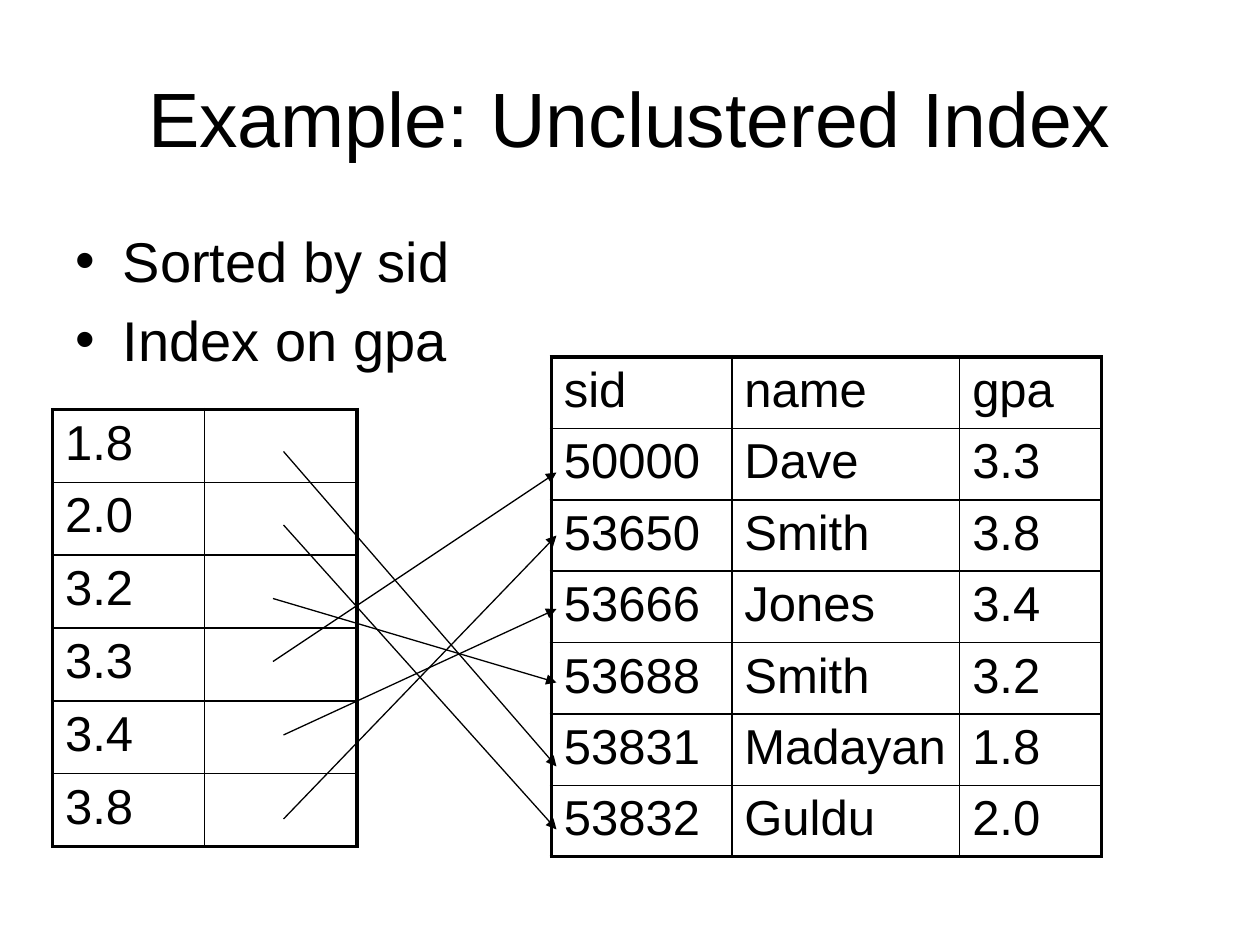
import pptx
import pptx.dml.color
import pptx.enum.shapes
import pptx.enum.text
import pptx.oxml
import pptx.oxml.ns
import pptx.util

BLACK = pptx.dml.color.RGBColor(0, 0, 0)
FONT = "Arial"
COLUMNS, ROWS = 120, 90  # grid cells of a twelfth of an inch
THICK, THIN = 2.25, 1

RECORDS = [
    ("sid", "name", "gpa"),
    ("50000", "Dave", "3.3"),
    ("53650", "Smith", "3.8"),
    ("53666", "Jones", "3.4"),
    ("53688", "Smith", "3.2"),
    ("53831", "Madayan", "1.8"),
    ("53832", "Guldu", "2.0"),
]
INDEX = [(gpa, "") for gpa in sorted(record[2] for record in RECORDS[1:])]

# Start of each index pointer, and height at which each record is reached
POINTER_STARTS = [(27, 43), (27, 50), (26, 57), (26, 63), (27, 70), (27, 78)]
RECORD_HEIGHTS = [45, 51, 58, 65, 73, 79]
RECORD_EDGE = 53


def grid(*cells):
    return [pptx.util.Inches(cell / 12) for cell in cells]


def format_run(run, size):
    values = {"name": FONT, "size": pptx.util.Pt(size)}
    for name, value in values.items():
        setattr(run.font, name, value)
    run.font.color.rgb = BLACK


def fill_placeholder(shape, box, lines, size, values):
    for name, value in zip(("left", "top", "width", "height"), grid(*box)):
        setattr(shape, name, value)
    frame = shape.text_frame
    for name, value in values.items():
        setattr(frame, name, value)
    for number, line in enumerate(lines):
        paragraph = frame.paragraphs[0] if number == 0 else frame.add_paragraph()
        if number == 0:
            paragraph.space_before = pptx.util.Pt(0)
        format_run(paragraph.add_run(), size)
        paragraph.runs[0].text = line


def set_borders(cell, widths):
    """Draw the left, right, top and bottom borders, in points."""
    properties = cell._tc.get_or_add_tcPr()
    for position, (side, width) in enumerate(zip("LRTB", widths)):
        properties.insert(position, pptx.oxml.parse_xml(
            f'<a:ln{side} {pptx.oxml.ns.nsdecls("a")} w="{pptx.util.Pt(width)}">'
            f'<a:solidFill><a:srgbClr val="{BLACK}"/></a:solidFill></a:ln{side}>'))


def add_grid_table(slide, left, top, column_widths, row_height, content):
    """Add an unfilled table with a thick frame and thin inner lines."""
    row_count, column_count = len(content), len(column_widths)
    box = grid(left, top, sum(column_widths), row_height * row_count)
    table = slide.shapes.add_table(row_count, column_count, *box).table
    table.first_row = table.horz_banding = False
    for column, width in zip(table.columns, grid(*column_widths)):
        column.width = width
    for row_number, record in enumerate(content):
        table.rows[row_number].height = grid(row_height)[0]
        for column_number, text in enumerate(record):
            cell = table.cell(row_number, column_number)
            cell.fill.background()
            outer = (column_number == 0, column_number == column_count - 1,
                     row_number == 0, row_number == row_count - 1)
            set_borders(cell, [THICK if edge else THIN for edge in outer])
            if text:
                run = cell.text_frame.paragraphs[0].add_run()
                run.text = text
                format_run(run, 28)


def add_arrow(slide, start, end):
    connector = slide.shapes.add_connector(
        pptx.enum.shapes.MSO_CONNECTOR.STRAIGHT, *grid(*start, *end))
    connector.line.color.rgb = BLACK
    connector.line.width = pptx.util.Pt(0.75)
    namespace = pptx.oxml.ns.nsdecls("a")
    connector.line._get_or_add_ln().append(
        pptx.oxml.parse_xml(f'<a:tailEnd {namespace} type="triangle"/>'))
    connector._element.spPr.append(
        pptx.oxml.parse_xml(f"<a:effectLst {namespace}/>"))


def main():
    presentation = pptx.Presentation()
    presentation.slide_width, presentation.slide_height = grid(COLUMNS, ROWS)
    slide = presentation.slides.add_slide(presentation.slide_layouts[1])
    anchor = pptx.enum.text.MSO_ANCHOR
    fill_placeholder(slide.shapes.title, (6, 3.6, 108, 15),
                     ["Example: Unclustered Index"], 44,
                     {"vertical_anchor": anchor.MIDDLE})
    fill_placeholder(slide.placeholders[1], (6, 21, 108, 59.4),
                     ["Sorted by sid", "Index on gpa"], 32,
                     {"vertical_anchor": anchor.TOP})
    add_grid_table(slide, 52.5, 34, (17.2, 21.7, 13.5), 6.8, RECORDS)
    add_grid_table(slide, 5, 39, (14.5, 14.5), 6.94, INDEX)

    height_by_gpa = {record[2]: height
                     for record, height in zip(RECORDS[1:], RECORD_HEIGHTS)}
    for (gpa, _), start in zip(INDEX, POINTER_STARTS):
        add_arrow(slide, start, (RECORD_EDGE, height_by_gpa[gpa]))
    presentation.save("out.pptx")


if __name__ == "__main__":
    main()
